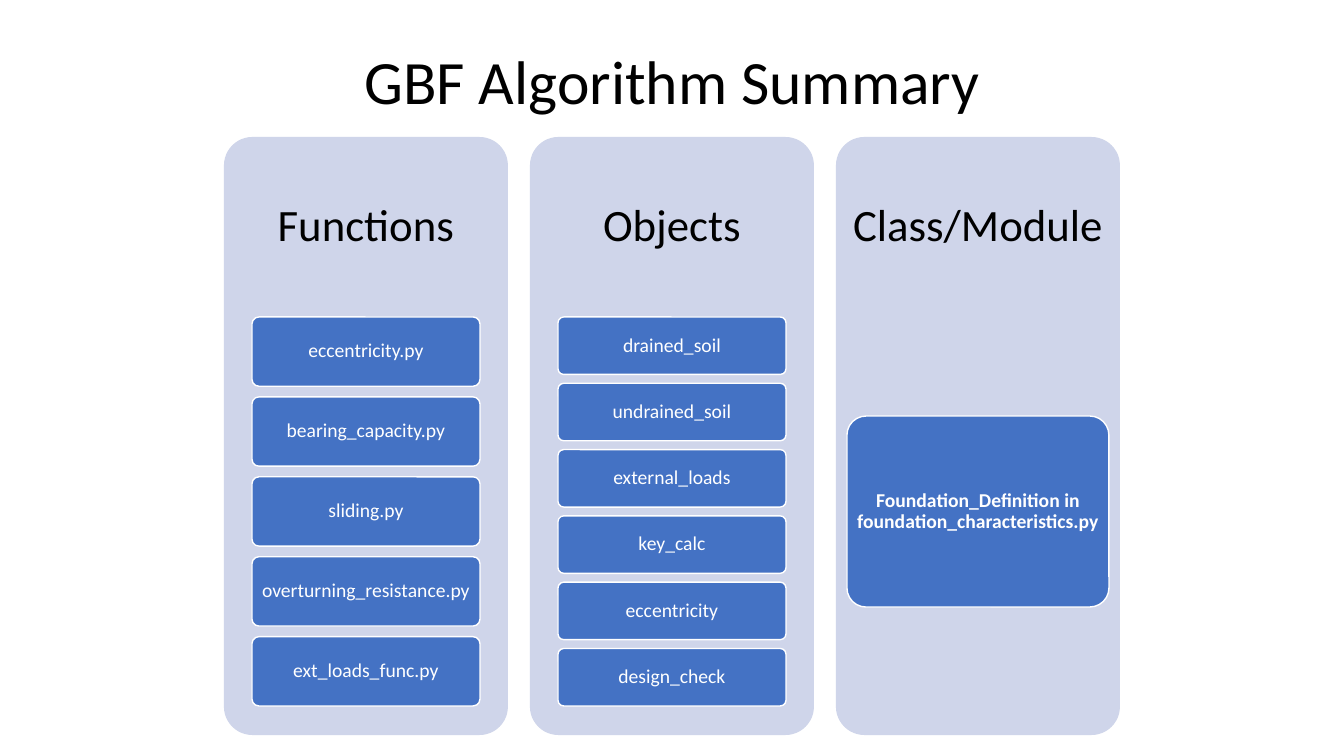
from pptx import Presentation
from pptx.dml.color import RGBColor
from pptx.enum.shapes import MSO_SHAPE as SHAPE
from pptx.enum.text import MSO_ANCHOR as ANCHOR, PP_ALIGN as ALIGN
from pptx.util import Pt

TITLE = "GBF Algorithm Summary"
COLUMNS = [
    ("Functions", ["eccentricity.py", "bearing_capacity.py", "sliding.py",
                   "overturning_resistance.py", "ext_loads_func.py"]),
    ("Objects", ["drained_soil", "undrained_soil", "external_loads",
                 "key_calc", "eccentricity", "design_check"]),
    ("Class/Module", ["Foundation_Definition in foundation_characteristics.py"]),
]
THEME = {
    "font": "Calibri", "black": "000000", "white": "FFFFFF",
    "panel": "CFD5EA", "box": "4472C4",
    "title": 44, "heading": 32, "item": 14,
}

# Lengths in pixels
PX = 914400 / 100.8
SLIDE_W, SLIDE_H = 1344, 756
TITLE_BOX = (93, 12, 1159, 146)
PANEL_X, PANEL_Y, PANEL_W, PANEL_H, PANEL_STEP = 224, 137, 284, 598, 306
HEADING_H = 179
LIST_Y, LIST_H = 317, 389
BOX_W, GAP_RATIO = 228, 2 / 13
SINGLE_W, SINGLE_H = 262, 191


def px(n):
    """Turn pixels into EMU."""
    return round(n * PX)


def write(sp, text, size, color, insets, bold=False):
    """Put one centred paragraph in a shape; insets are left/right, top, bottom."""
    tf = sp.text_frame
    tf.word_wrap = True
    tf.vertical_anchor = ANCHOR.MIDDLE
    side, top, bottom = (px(n) for n in insets)
    tf.margin_left = tf.margin_right = side
    tf.margin_top, tf.margin_bottom = top, bottom
    p = tf.paragraphs[0]
    p.text, p.alignment, p.line_spacing = text, ALIGN.CENTER, 0.9
    f = p.font
    f.name, f.size, f.bold = THEME["font"], Pt(THEME[size]), bold
    f.color.rgb = RGBColor.from_string(THEME[color])


def rounded(s, box, fill, line=None):
    """Add a rounded rectangle with an optional outline colour."""
    sp = s.shapes.add_shape(SHAPE.ROUNDED_RECTANGLE, *map(px, box))
    sp.adjustments[0] = 0.1
    sp.shadow.inherit = False
    sp.fill.solid()
    sp.fill.fore_color.rgb = RGBColor.from_string(THEME[fill])
    if line:
        sp.line.color.rgb = RGBColor.from_string(THEME[line])
        sp.line.width = Pt(1)
    else:
        sp.line.fill.background()
    return sp


def item_boxes(x, count):
    """Place the item boxes of the panel at x, filling the list height."""
    if count == 1:
        return [(x + (PANEL_W - SINGLE_W) / 2, LIST_Y + (LIST_H - SINGLE_H) / 2,
                 SINGLE_W, SINGLE_H)]
    h = LIST_H / (count + (count - 1) * GAP_RATIO)
    step = h * (1 + GAP_RATIO)
    return [(x + (PANEL_W - BOX_W) / 2, LIST_Y + i * step, BOX_W, h)
            for i in range(count)]


def add_column(s, x, heading, items):
    """Draw one panel with its heading and item boxes."""
    panel = rounded(s, (x, PANEL_Y, PANEL_W, PANEL_H), "panel")
    write(panel, heading, "heading", "black", (4, 0, PANEL_H - HEADING_H))
    for text, box in zip(items, item_boxes(x, len(items))):
        write(rounded(s, box, "box", "white"), text, "item", "white",
              (4, 3, 3), bold=len(items) == 1)


prs = Presentation()
prs.slide_width, prs.slide_height = px(SLIDE_W), px(SLIDE_H)
s = prs.slides.add_slide(prs.slide_layouts[6])
write(s.shapes.add_textbox(*map(px, TITLE_BOX)), TITLE, "title", "black", (10, 5, 5))
for i, (heading, items) in enumerate(COLUMNS):
    add_column(s, PANEL_X + i * PANEL_STEP, heading, items)
prs.save("out.pptx")
